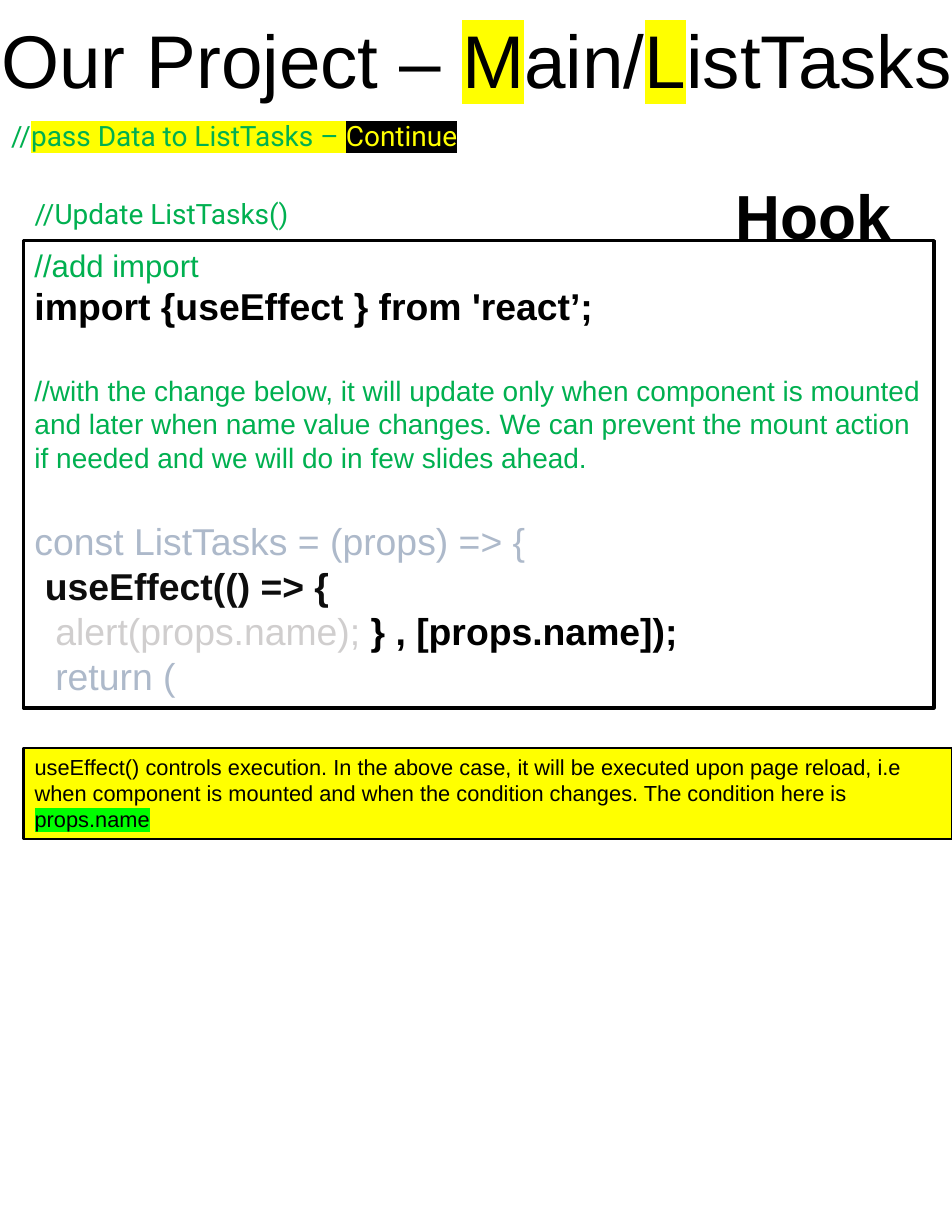
"""Build the Hook slide of the Main/ListTasks project."""
from lxml.etree import SubElement
from pptx import Presentation
from pptx.dml.color import RGBColor
from pptx.enum.shapes import MSO_SHAPE
from pptx.enum.text import MSO_ANCHOR, MSO_AUTO_SIZE, PP_ALIGN
from pptx.oxml.ns import qn
from pptx.util import Inches, Pt

COLORS = {
    "black": "000000", "ink": "0D0D0D", "green": "00B050", "lime": "00FF00",
    "yellow": "FFFF00", "slate": "ADB9CA", "silver": "D0CECE",
}
BLANK_LINE = Pt(28.7)
INDENT = Inches(0.093)

deck = Presentation()
deck.slide_width, deck.slide_height = Inches(8.5), Inches(11)
column, row = deck.slide_width / 85, deck.slide_height / 110
page = deck.slides.add_slide(deck.slide_layouts[5])


def rgb(name):
    return RGBColor.from_string(COLORS[name])


def fill_text(shape, paragraphs, font="Arial", wrap=True, align=PP_ALIGN.LEFT):
    frame = shape.text_frame
    settings = {
        "word_wrap": wrap, "vertical_anchor": MSO_ANCHOR.TOP,
        "auto_size": MSO_AUTO_SIZE.SHAPE_TO_FIT_TEXT,
    }
    for name, value in settings.items():
        setattr(frame, name, value)
    for index, (indent, space, spans) in enumerate(paragraphs):
        para = frame.add_paragraph() if index else frame.paragraphs[0]
        para.alignment, para.space_before = align, space
        if indent:
            para._p.get_or_add_pPr().set("marL", str(int(indent * INDENT)))
        for text, size, color, bold, highlight in spans:
            span = para.add_run()
            span.text = text
            formats = {"name": font, "size": Pt(size), "bold": bold}
            for name, value in formats.items():
                setattr(span.font, name, value)
            span.font.color.rgb = rgb(color)
            if highlight:
                properties = span._r.get_or_add_rPr()
                marker = SubElement(properties, qn("a:highlight"))
                SubElement(marker, qn("a:srgbClr"), val=COLORS[highlight])
                properties.find(qn("a:solidFill")).addnext(marker)


title = page.shapes.title
place = {"left": -0.9 * column, "top": 0.7 * row, "width": 86.9 * column, "height": 9.1 * row}
for name, value in place.items():
    setattr(title, name, int(value))
title_spans = [
    (text, 48, "black", False, highlight)
    for text, highlight in [
        ("Our Project – ", None), ("M", "yellow"), ("ain/", None),
        ("L", "yellow"), ("istTasks", None),
    ]
]
fill_text(title, [(0, Pt(0), title_spans)], wrap=False, align=PP_ALIGN.CENTER)

step_spans = [
    ("//", 18, "green", False, None),
    ("pass Data to ListTasks – ", 18, "green", False, "yellow"),
    ("Continue", 18, "yellow", False, "black"),
]
update_spans = [("//Update ListTasks()", 18, "green", False, None)]
hook_spans = [("Hook", 40, "black", True, None)]
labels = [
    (0, 10.1, 85.9, 4, step_spans, "Roboto", True, PP_ALIGN.LEFT),
    (2.1, 17.1, 25.5, 4, update_spans, "Roboto", True, PP_ALIGN.LEFT),
    (64.3, 15.3, 16.7, 7.7, hook_spans, "Arial", False, PP_ALIGN.CENTER),
]
for left, top, width, height, spans, font, wrap, align in labels:
    box = page.shapes.add_textbox(
        int(left * column), int(top * row), int(width * column), int(height * row))
    fill_text(box, [(0, Pt(0), spans)], font, wrap, align)

code = [
    (0, Pt(0), [("//add import", 20, "green", False, None)]),
    (0, Pt(0), [("import {useEffect } from 'react’;", 24, "black", True, None)]),
    (0, BLANK_LINE, [(
        "//with the change below, it will update only when component is mounted "
        "and later when name value changes. We can prevent the mount action "
        "if needed and we will do in few slides ahead.", 18, "green", False, None)]),
    (0, BLANK_LINE, [("const ListTasks = (props) => {", 24, "slate", False, None)]),
    (1, Pt(0), [("useEffect(() => {", 24, "ink", True, None)]),
    (2, Pt(0), [
        ("alert(props.name); ", 24, "silver", False, None),
        ("} , [props.name]);", 24, "black", True, None),
    ]),
    (2, Pt(0), [("return (", 24, "slate", False, None)]),
]
remark = [(0, Pt(0), [
    ("useEffect() controls execution. In the above case, it will be executed upon "
     "page reload, i.e when component is mounted and when the condition changes. "
     "The condition here is ", 14, "black", False, None),
    ("props.name", 14, "black", False, "lime"),
])]
panels = [
    (21.5, 81.3, 41.7, None, 2.25, code),
    (66.8, 82.9, 8.1, "yellow", 1.5, remark),
]
for top, width, height, fill, line_width, paragraphs in panels:
    panel = page.shapes.add_shape(
        MSO_SHAPE.RECTANGLE, int(2.1 * column), int(top * row),
        int(width * column), int(height * row))
    panel.shadow.inherit = False
    if fill:
        panel.fill.solid()
        panel.fill.fore_color.rgb = rgb(fill)
    else:
        panel.fill.background()
    panel.line.color.rgb = rgb("black")
    panel.line.width = Pt(line_width)
    fill_text(panel, paragraphs)

deck.save("out.pptx")
